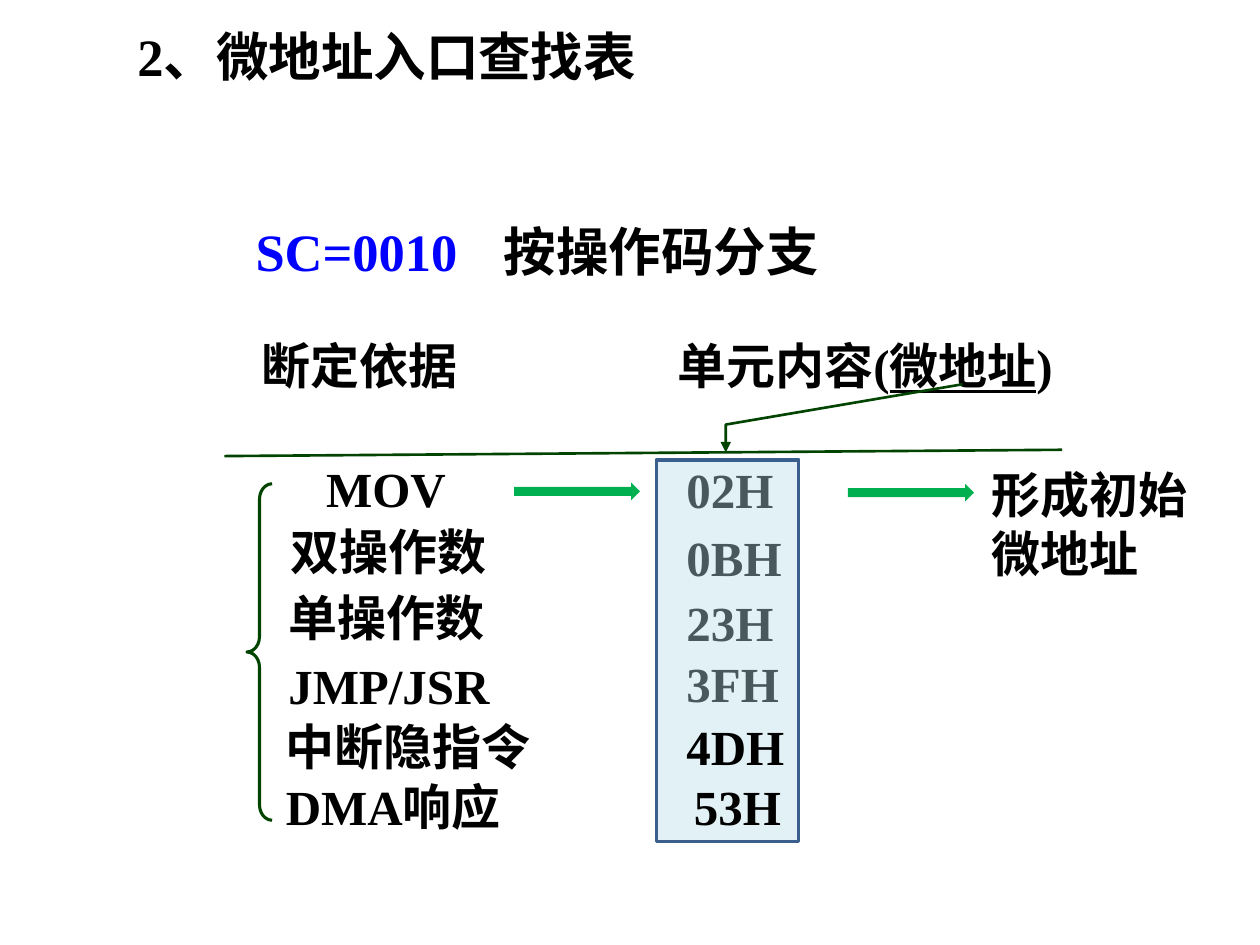
import pptx
import pptx.util
import pptx.dml.color
import pptx.enum.shapes
import pptx.enum.text
import pptx.oxml
import pptx.oxml.ns
from lxml import etree

Inches = pptx.util.Inches
Pt = pptx.util.Pt
RGBColor = pptx.dml.color.RGBColor
MSO_SHAPE = pptx.enum.shapes.MSO_SHAPE
qn = pptx.oxml.ns.qn

FONT = "Times New Roman"
BLACK = RGBColor(0x00, 0x00, 0x00)
BLUE = RGBColor(0x00, 0x00, 0xFF)
DARK_GREEN = RGBColor(0x00, 0x44, 0x00)
GREEN = RGBColor(0x00, 0xB0, 0x50)
PALE_BLUE = RGBColor(0xB7, 0xDE, 0xE8)
STEEL = RGBColor(0x3A, 0x5F, 0x8C)


def style_text(sp, size, color=BLACK):
    """Format the single paragraph of a shape."""
    tf = sp.text_frame
    tf.word_wrap = True
    tf.vertical_anchor = pptx.enum.text.MSO_ANCHOR.TOP
    p = tf.paragraphs[0]
    p.alignment = pptx.enum.text.PP_ALIGN.LEFT
    p.font.name = FONT
    p.font.size = Pt(size)
    p.font.bold = True
    p.font.color.rgb = color


def add_text(s, left, top, width, height, parts, size=28, color=BLACK):
    """Add a text box whose parts are (text, underlined) pairs or one string."""
    sp = s.shapes.add_textbox(Inches(left), Inches(top), Inches(width), Inches(height))
    p = sp.text_frame.paragraphs[0]
    for text, underlined in [(parts, False)] if isinstance(parts, str) else parts:
        r = p.add_run()
        r.text = text
        if underlined:
            r.font.underline = True
    style_text(sp, size, color)


def add_shape(s, kind, left, top, width, height, fill=None, line=None, weight=1):
    """Add a preset shape with the given fill and line."""
    sp = s.shapes.add_shape(kind, Inches(left), Inches(top), Inches(width), Inches(height))
    sp.shadow.inherit = False
    if fill is None:
        sp.fill.background()
    else:
        sp.fill.solid()
        sp.fill.fore_color.rgb = fill
    if line is None:
        sp.line.fill.background()
    else:
        sp.line.color.rgb = line
        sp.line.width = Pt(weight)
    return sp


def add_title(s, left, top, width, height):
    """Place the slide title."""
    sp = s.shapes.title
    sp.left, sp.top = Inches(left), Inches(top)
    sp.width, sp.height = Inches(width), Inches(height)
    sp.text_frame.text = "2、微地址入口查找表"
    sp.text_frame.auto_size = pptx.enum.text.MSO_AUTO_SIZE.NONE
    style_text(sp, 30)


def add_condition(s, left, top, height):
    """Place the branch condition and its meaning."""
    add_text(s, left, top, 2.33, height, "SC=0010", 30, BLUE)
    add_text(s, left + 1.97, top, 4.26, height, "按操作码分支", 30)


def add_header(s, left, top, width):
    """Place the column headings, the rule below and the pointer to the cells."""
    add_text(s, left + 0.2, top, 3.11, 0.57, "断定依据")
    add_text(s, left + 3.5, top, 3.83, 0.57,
             [("单元内容(", False), ("微地址", True), (")", False)])
    rule = s.shapes.add_connector(
        pptx.enum.shapes.MSO_CONNECTOR.STRAIGHT, Inches(left), Inches(top + 1.01),
        Inches(left + width), Inches(top + 0.96))
    rule.line.color.rgb = DARK_GREEN
    rule.line.width = Pt(1.5)
    etree.SubElement(rule._element.spPr, qn("a:effectLst"))

    x, y = left + 3.98, top + 0.76
    builder = s.shapes.build_freeform(Inches(x + 1.88), Inches(y - 0.32))
    builder.add_line_segments(
        [(Inches(x), Inches(y)), (Inches(x), Inches(y + 0.22))], close=False)
    pointer = builder.convert_to_shape()
    pointer.shadow.inherit = False
    pointer.fill.background()
    pointer.line.color.rgb = DARK_GREEN
    pointer.line.width = Pt(1.5)
    etree.SubElement(pointer.line._get_or_add_ln(), qn("a:tailEnd"), type="triangle")


def add_operations(s, left, top, height):
    """Place the brace and the list of operations beside it."""
    brace = add_shape(s, MSO_SHAPE.LEFT_BRACE, left, top, 0.2, height,
                      line=DARK_GREEN, weight=1.75)
    brace.adjustments[0] = 0.61
    rows = [("MOV", 0.53, -0.25), ("双操作数", 0.25, 0.25), ("单操作数", 0.23, 0.77),
            ("JMP/JSR", 0.23, 1.31), ("中断隐指令", 0.21, 1.8), ("DMA响应", 0.21, 2.27)]
    for text, dx, dy in rows:
        add_text(s, left + dx, top + dy, 2.26, 0.57, text)


def add_cells(s, left, top, width, height):
    """Place the cell values, the first four under the translucent panel."""
    rows = [("02H", 0.14, -0.05), ("0BH", 0.14, 0.49), ("23H", 0.14, 1),
            ("3FH", 0.14, 1.49), ("4DH", 0.14, 1.99), ("53H", 0.2, 2.46)]
    for i, (text, dx, dy) in enumerate(rows):
        if i == 4:
            panel = add_shape(s, MSO_SHAPE.RECTANGLE, left, top, width, height,
                              PALE_BLUE, STEEL, 2)
            color = panel._element.spPr.find(qn("a:solidFill"))[0]
            etree.SubElement(color, qn("a:alpha"), val="40000")
        add_text(s, left + dx, top + dy, 1.3, 0.57, text)


def add_flow(s, left, top):
    """Place the arrows through the cells and the result."""
    for dx, dy in [(0, 0), (2.65, 0.01)]:
        add_shape(s, MSO_SHAPE.RIGHT_ARROW, left + dx, top + dy, 1, 0.14, GREEN)
    add_text(s, left + 3.69, top - 0.19, 1.81, 1.04, "形成初始微地址")


def main():
    """Build and save the slide."""
    prs = pptx.Presentation()
    prs.slide_width, prs.slide_height = Inches(10), Inches(7.5)
    s = prs.slides.add_slide(prs.slide_layouts[5])
    add_title(s, 0.99, 0.14, 5.12, 0.61)
    add_condition(s, 1.93, 1.69, 0.6)
    add_header(s, 1.78, 2.61, 6.65)
    add_operations(s, 1.96, 3.84, 2.67)
    add_cells(s, 5.21, 3.65, 1.13, 3.03)
    add_flow(s, 4.08, 3.83)
    prs.save("out.pptx")


if __name__ == "__main__":
    main()
